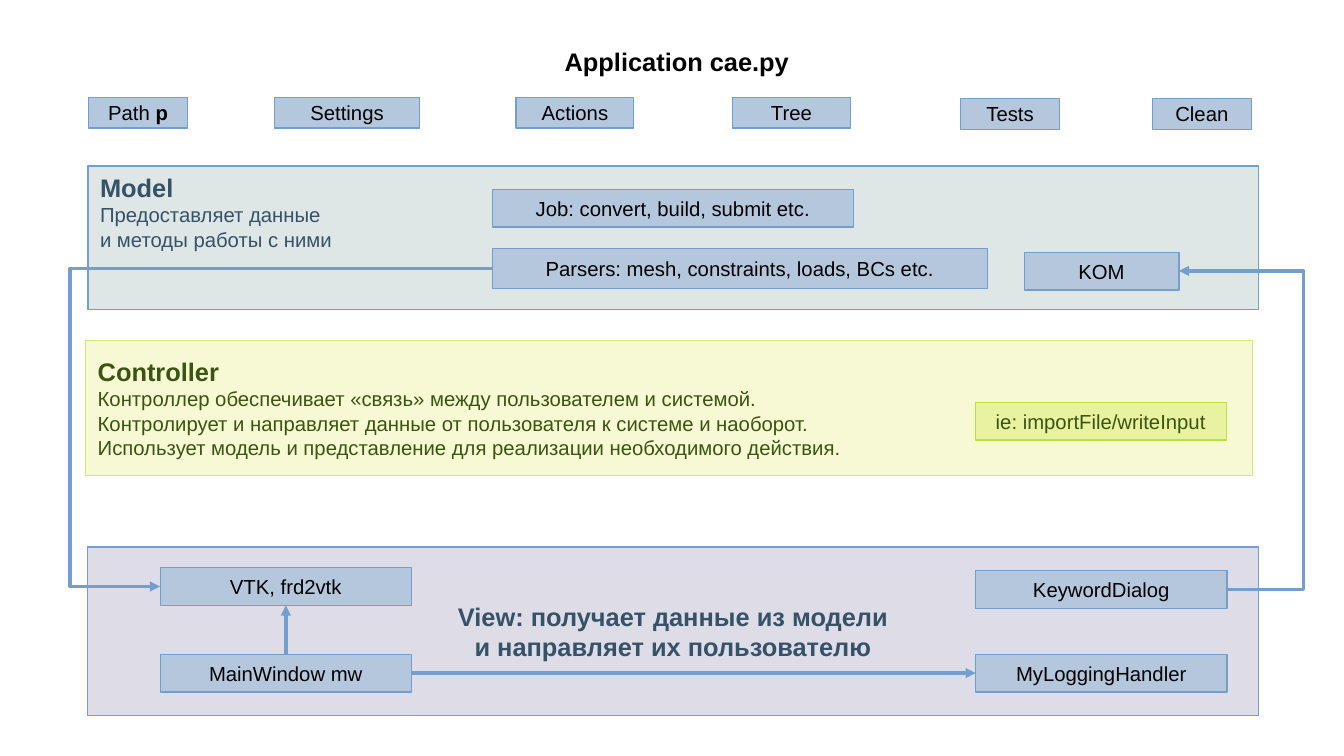
"""Builds the model, controller and view diagram of an application."""
from dataclasses import dataclass

from lxml.etree import SubElement
from pptx import Presentation
from pptx.dml.color import RGBColor
from pptx.enum.shapes import MSO_CONNECTOR, MSO_SHAPE
from pptx.enum.text import MSO_ANCHOR, MSO_AUTO_SIZE, PP_ALIGN
from pptx.oxml.ns import qn
from pptx.util import Pt

TOP, LEFT, BOTTOM, RIGHT = range(4)


@dataclass(frozen=True)
class Theme:
    font: str = "Arial"
    heading: float = 15
    body: float = 12
    black: str = "000000"
    navy: str = "355269"
    olive: str = "395511"
    line: str = "729FCF"
    block: str = "B4C7DC"
    model: str = "DEE7E5"
    view: str = "DEDCE6"
    controller: str = "F6F9D4"
    controller_line: str = "D4EA6B"
    example: str = "E8F2A1"
    example_line: str = "BBE33D"


class Diagram:
    def __init__(self, page, theme):
        self.page = page
        self.theme = theme

    def style_span(self, span, color, size, bold=False):
        span.font.name = self.theme.font
        span.font.size = Pt(size)
        span.font.bold = bold
        span.font.color.rgb = RGBColor.from_string(color)

    def set_text(self, box, lines, color, headings=0, align=PP_ALIGN.CENTER, anchor=MSO_ANCHOR.MIDDLE):
        frame = box.text_frame
        frame.text = "\n".join(lines)
        frame.word_wrap = True
        frame.vertical_anchor = anchor
        frame.margin_left = frame.margin_right = Pt(7.1)
        frame.margin_top = frame.margin_bottom = Pt(3.5)
        for index, para in enumerate(frame.paragraphs):
            para.alignment = align
            bold = index < headings
            size = self.theme.heading if bold else self.theme.body
            for span in para.runs:
                self.style_span(span, color, size, bold)

    def title(self, text, left, top, width, height):
        box = self.page.shapes.title
        box.left, box.top, box.width, box.height = map(Pt, (left, top, width, height))
        self.set_text(box, [text], self.theme.black, headings=1, anchor=MSO_ANCHOR.TOP)
        box.text_frame.auto_size = MSO_AUTO_SIZE.SHAPE_TO_FIT_TEXT

    def rectangle(self, left, top, width, height, fill, line):
        box = self.page.shapes.add_shape(
            MSO_SHAPE.RECTANGLE, Pt(left), Pt(top), Pt(width), Pt(height))
        box.shadow.inherit = False
        box.fill.solid()
        box.fill.fore_color.rgb = RGBColor.from_string(fill)
        box.line.color.rgb = RGBColor.from_string(line)
        box.line.width = Pt(0)
        return box

    def panel(self, place, lines, fill, line, color, **layout):
        box = self.rectangle(*place, fill, line)
        self.set_text(box, lines, color, **layout)

    def block(self, text, left, top, width, height=22.3, strong=""):
        box = self.rectangle(left, top, width, height, self.theme.block, self.theme.line)
        self.set_text(box, [text], self.theme.black)
        if strong:
            span = box.text_frame.paragraphs[0].add_run()
            span.text = strong
            self.style_span(span, self.theme.black, self.theme.body, bold=True)
        return box

    def style_arrow(self, arrow):
        arrow.line.color.rgb = RGBColor.from_string(self.theme.line)
        arrow.line.width = Pt(0)
        properties = arrow._element.spPr
        SubElement(properties.find(qn("a:ln")), qn("a:tailEnd"), type="triangle")
        SubElement(properties, qn("a:effectLst"))

    def straight_arrow(self, source, source_side, target, target_side):
        arrow = self.page.shapes.add_connector(MSO_CONNECTOR.STRAIGHT, 0, 0, 0, 0)
        arrow.begin_connect(source, source_side)
        arrow.end_connect(target, target_side)
        self.style_arrow(arrow)

    def elbow_arrow(self, start, end, lane):
        arrow = self.page.shapes.add_connector(
            MSO_CONNECTOR.ELBOW, *map(Pt, (*start, *end)))
        bend = round((lane - start[0]) / (end[0] - start[0]) * 100000)
        guides = arrow._element.spPr.find(qn("a:prstGeom")).find(qn("a:avLst"))
        SubElement(guides, qn("a:gd"), name="adj1", fmla=f"val {bend}")
        self.style_arrow(arrow)


def main():
    theme = Theme()
    deck = Presentation()
    deck.slide_width, deck.slide_height = Pt(793.4), Pt(446.4)
    diagram = Diagram(deck.slides.add_slide(deck.slide_layouts[5]), theme)
    diagram.title("Application cae.py", 237.6, 23.8, 324, 24)

    diagram.panel(
        (50.6, 201, 689, 79.8),
        ["Controller",
         "Контроллер обеспечивает «связь» между пользователем и системой.",
         "Контролирует и направляет данные от пользователя к системе и наоборот.",
         "Использует модель и представление для реализации необходимого действия."],
        theme.controller, theme.controller_line, theme.olive,
        headings=1, align=PP_ALIGN.LEFT)
    diagram.panel(
        (51.7, 323, 691.2, 99.4),
        ["View: получает данные из модели", "и направляет их пользователю"],
        theme.view, theme.line, theme.navy, headings=2)
    diagram.panel(
        (52, 98.1, 691.2, 84.8),
        ["Model", "Предоставляет данные", "и методы работы с ними"],
        theme.model, theme.line, theme.navy,
        headings=1, align=PP_ALIGN.LEFT, anchor=MSO_ANCHOR.TOP)

    modules = [
        ("Path ", 52.2, 57.5, 58.6, "p"),
        ("Settings", 162, 57.5, 85.8, ""),
        ("Actions", 304.6, 57.5, 69.6, ""),
        ("Tree", 432.4, 57.5, 69.6, ""),
        ("Tests", 567, 58.1, 58.6, ""),
        ("Clean", 680.2, 58.1, 58.6, ""),
    ]
    for text, left, top, width, strong in modules:
        diagram.block(text, left, top, width, 18.2, strong)

    diagram.block("Job: convert, build, submit etc.", 290.6, 111.7, 213.4)
    diagram.block("Parsers: mesh, constraints, loads, BCs etc.", 290.6, 146.6, 292.3, 23.8)
    diagram.block("KOM", 604.6, 148.9, 91.4)
    diagram.panel(
        (575.7, 237.6, 148.3, 22.3), ["ie: importFile/writeInput"],
        theme.example, theme.example_line, theme.olive)

    converter = diagram.block("VTK, frd2vtk", 94.6, 335.2, 148.3)
    window = diagram.block("MainWindow mw", 94.6, 386.3, 148.3)
    diagram.block("KeywordDialog", 576, 337, 148.3)
    logger = diagram.block("MyLoggingHandler", 576, 386.3, 148.3)

    diagram.elbow_arrow((290.6, 158.5), (94.6, 346.3), lane=41.3)
    diagram.elbow_arrow((724.3, 348.2), (696, 160), lane=769.7)
    diagram.straight_arrow(window, RIGHT, logger, LEFT)
    diagram.straight_arrow(window, TOP, converter, BOTTOM)
    deck.save("out.pptx")


if __name__ == "__main__":
    main()
